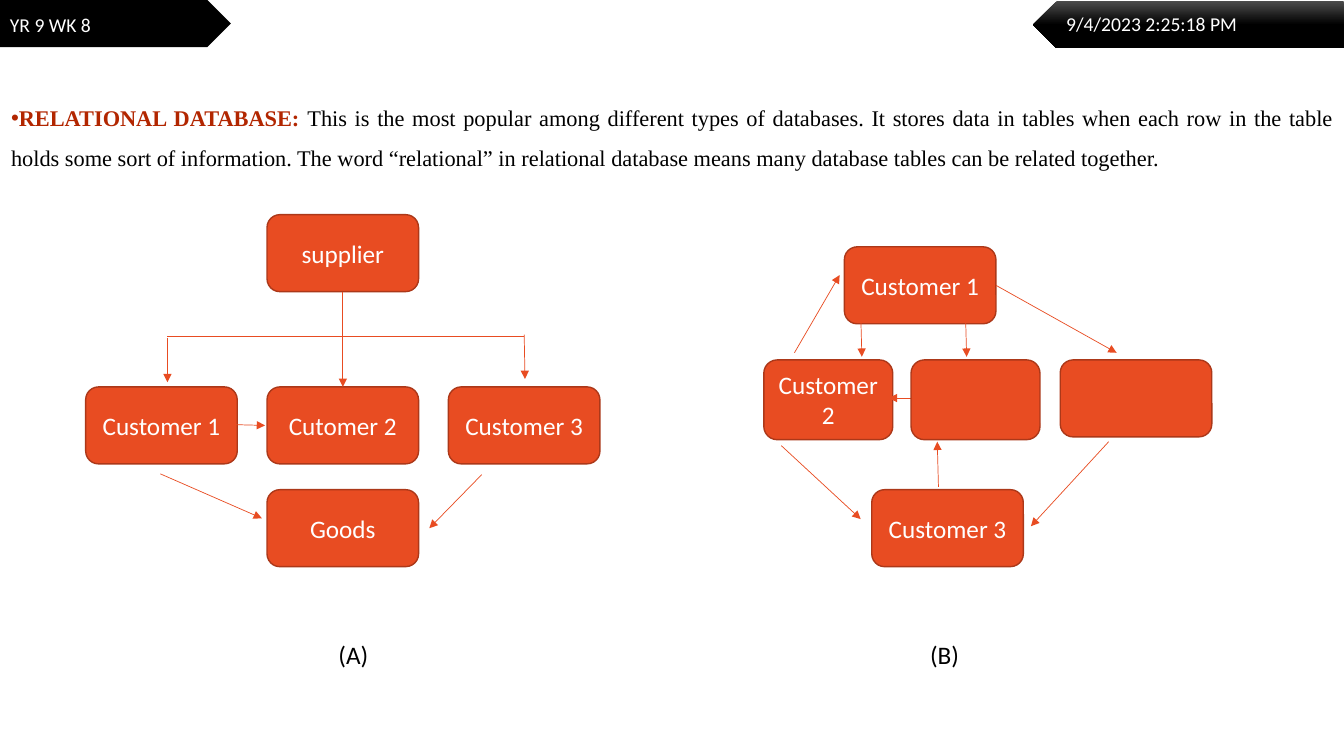
from lxml import etree
from pptx import Presentation
from pptx import util as u
from pptx.dml.color import RGBColor
from pptx.enum import shapes, text
from pptx.oxml.ns import qn

INK = {"box": "E84C22", "edge": "AC3819", "head": "B22600",
       "black": "000000", "grey": "4B4B4B", "white": "FFFFFF"}
KIND = shapes.MSO_SHAPE
ALIGN = text.PP_ALIGN


def tint(name):
    return RGBColor.from_string(INK[name])


def write(para, words, size=18, font="Calibri", color="white", bold=False,
          align=None):
    run = para.add_run()
    run.text = words
    run.font.size = u.Pt(size)
    run.font.name = font
    run.font.bold = bold
    run.font.color.rgb = tint(color)
    if align is not None:
        para.alignment = align


class Page:
    def __init__(self, deck):
        self.items = deck.slides.add_slide(deck.slide_layouts[6]).shapes

    def shape(self, kind, x, y, w, h, fill="black"):
        item = self.items.add_shape(kind, *map(u.Cm, (x, y, w, h)))
        item.shadow.inherit = False
        item.fill.solid()
        item.fill.fore_color.rgb = tint(fill)
        item.line.fill.background()
        return item

    def box(self, x, y, words="", w=3.82, h=1.94):
        item = self.shape(KIND.ROUNDED_RECTANGLE, x, y, w, h, "box")
        item.line.color.rgb = tint("edge")
        item.line.width = u.Pt(1)
        frame = item.text_frame
        frame.word_wrap = True
        frame.vertical_anchor = text.MSO_ANCHOR.MIDDLE
        if words:
            write(frame.paragraphs[0], words, align=ALIGN.CENTER)
        return item

    def label(self, x, y, w, h, words="", wrap=True, **style):
        frame = self.items.add_textbox(*map(u.Cm, (x, y, w, h))).text_frame
        frame.word_wrap = wrap
        para = frame.paragraphs[0]
        if words:
            write(para, words, **style)
        return para

    def line(self, x1, y1, x2, y2, arrow=True):
        item = self.items.add_connector(
            shapes.MSO_CONNECTOR.STRAIGHT, *map(u.Cm, (x1, y1, x2, y2)))
        item.line.color.rgb = tint("box")
        item.line.width = u.Pt(0.5)
        props = item._element.spPr
        if arrow:
            etree.SubElement(props.find(qn("a:ln")), qn("a:tailEnd"), type="triangle")
        etree.SubElement(props, qn("a:effectLst"))
        return item


def main():
    deck = Presentation()
    deck.slide_width, deck.slide_height = u.Cm(33.87), u.Cm(19.05)
    page = Page(deck)

    # Header bands
    page.shape(KIND.PENTAGON, 0, 0, 5.82, 1.19)
    band = page.shape(KIND.PENTAGON, 26.04, 0.03, 7.82, 1.19)
    band._element.spPr.get_or_add_xfrm().set("flipH", "1")
    band.fill.gradient()
    band.fill.gradient_angle = 270
    for stop, (color, place) in zip(band.fill.gradient_stops,
                                    (("grey", 0), ("black", 0.5))):
        stop.color.rgb = tint(color)
        stop.position = place
    page.label(26.62, 0.18, 7.82, 0.86, "9/4/2023 2:25:18 PM", size=14)
    page.label(0, 0.2, 4.72, 0.86, "YR 9 WK 8", size=14)

    # Definition
    para = page.label(0.03, 2.16, 33.83, 2.41)
    para.line_spacing = 1.5
    para.space_after = u.Pt(10)
    serif = {"size": 16, "font": "Times New Roman", "align": ALIGN.JUSTIFY}
    write(para, "RELATIONAL DATABASE: ", color="head", bold=True, **serif)
    write(para, "This is the most popular among different types of databases. "
          "It stores data in tables when each row in the table holds some sort "
          "of information. The word “relational” in relational database means "
          "many database tables can be related together.", color="black", **serif)
    props = para._p.get_or_add_pPr()
    props.set("marL", "0")
    props.set("indent", str(-u.Cm(0.64)))
    etree.SubElement(props, qn("a:buFont"), typeface="Arial")
    etree.SubElement(props, qn("a:buChar"), char="•")

    # Diagram B
    top = page.box(21.28, 6.22, "Customer 1")
    page.box(26.72, 9.07)
    page.box(19.25, 9.07, "Customer 2", 3.25, 2.01)
    page.box(21.97, 12.34, "Customer 3")
    page.line(23.52, 10.03, 22.4, 10.03)
    page.box(22.96, 9.07, w=3.25, h=2.01)
    for ends in ((23.65, 12.27, 23.62, 11.13), (21.69, 7.87, 21.72, 8.99),
                 (24.33, 7.87, 24.36, 8.99), (27.94, 11.13, 25.98, 13.26),
                 (19.69, 11.23, 21.69, 13.08), (20.02, 8.89, 21.16, 6.93)):
        page.line(*ends)
    page.line(25.1, 7.19, 28.14, 8.89).begin_connect(top, 3)

    # Diagram A
    left, step = 2.16, 4.57
    mid = left + step
    source = page.box(mid, 5.41, "supplier")
    row = [page.box(left + i * step, 9.75, name) for i, name in
           enumerate(("Customer 1", "Cutomer 2", "Customer 3"))]
    page.box(mid, 12.34, "Goods")
    trunk = page.line(8.64, 7.37, 8.64, 9.75)
    trunk.begin_connect(source, 2)
    trunk.end_connect(row[1], 0)
    for ends in ((4.04, 11.94, 6.6, 13.06), (12.14, 11.96, 10.82, 13.31),
                 (4.22, 8.51, 4.22, 9.63), (5.49, 10.69, 6.68, 10.72),
                 (13.21, 8.43, 13.23, 9.55)):
        page.line(*ends)
    page.line(4.22, 8.48, 13.21, 8.48, arrow=False)

    # Captions
    for x, words in ((8.28, "(A)"), (23.19, "(B)")):
        page.label(x, 15.98, 1.27, 1.02, words, wrap=False, color="black")

    deck.save("out.pptx")


if __name__ == "__main__":
    main()
